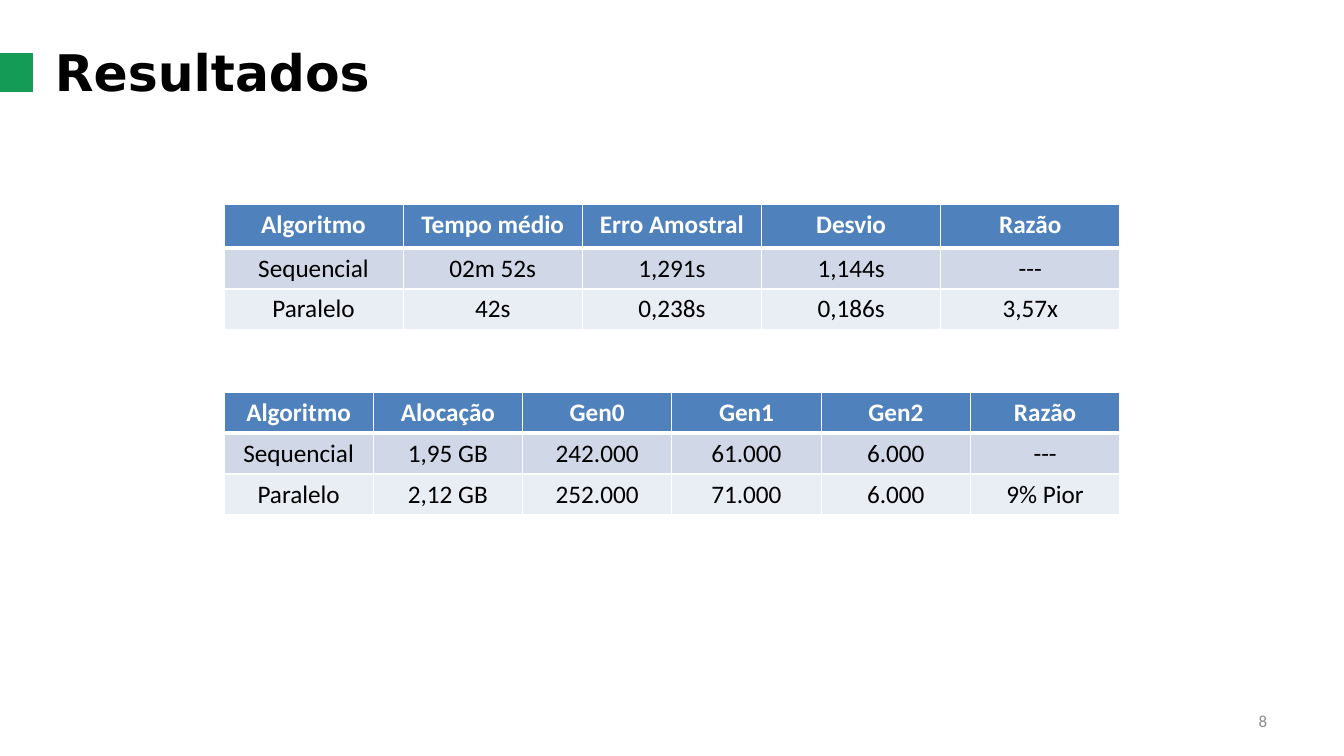
import pptx
import pptx.dml.color
import pptx.enum.shapes
import pptx.enum.text
import pptx.oxml
import pptx.oxml.ns
import pptx.util

PX = 12192000 / 1344  # EMU in one px
COLORS = {
    "black": "000000", "white": "FFFFFF", "green": "149B55", "gray": "8C8C8C",
    "header": "4F81BD", "band_dark": "D0D8E8", "band_light": "E9EDF4",
}
ALIGN = pptx.enum.text.PP_ALIGN
ANCHOR = pptx.enum.text.MSO_ANCHOR

TIMES = [
    ["Algoritmo", "Tempo médio", "Erro Amostral", "Desvio", "Razão"],
    ["Sequencial", "02m 52s", "1,291s", "1,144s", "---"],
    ["Paralelo", "42s", "0,238s", "0,186s", "3,57x"],
]
MEMORY = [
    ["Algoritmo", "Alocação", "Gen0", "Gen1", "Gen2", "Razão"],
    ["Sequencial", "1,95 GB", "242.000", "61.000", "6.000", "---"],
    ["Paralelo", "2,12 GB", "252.000", "71.000", "6.000", "9% Pior"],
]


def emu(px):
    return pptx.util.Emu(round(px * PX))


def rgb(name):
    return pptx.dml.color.RGBColor.from_string(COLORS[name])


def write(frame, text, size=18, font="Calibri", color="black", bold=False,
          align=ALIGN.LEFT):
    para = frame.paragraphs[0]
    para.alignment = align
    span = para.add_run()
    span.text = text
    span.font.size = pptx.util.Pt(size)
    span.font.name = font
    span.font.bold = bold
    span.font.color.rgb = rgb(color)


def add_text(page, left, top, width, height, text, anchor=ANCHOR.TOP, **style):
    box = page.shapes.add_textbox(*map(emu, (left, top, width, height)))
    box.text_frame.word_wrap = True
    box.text_frame.vertical_anchor = anchor
    write(box.text_frame, text, **style)


def add_heading(page, left, top, width, height):
    # Green marker at the page edge, then the title
    marker = page.shapes.add_shape(pptx.enum.shapes.MSO_SHAPE.RECTANGLE,
                                   *map(emu, (left, top + 17, 35, 39)))
    marker.shadow.inherit = False
    marker.fill.solid()
    marker.fill.fore_color.rgb = rgb("green")
    marker.line.fill.background()
    add_text(page, left + 47, top, width - 47, height, "Resultados",
             size=36, font="DejaVu Sans", bold=True)


def set_borders(cell, bottom):
    properties = cell._tc.get_or_add_tcPr()
    for side, points in (("L", 1), ("R", 1), ("T", 1), ("B", bottom)):
        properties.append(pptx.oxml.parse_xml(
            f'<a:ln{side} {pptx.oxml.ns.nsdecls("a")} w="{points * 12700}">'
            f'<a:solidFill><a:srgbClr val="{COLORS["white"]}"/></a:solidFill>'
            f'</a:ln{side}>'))


def add_results(page, left, top, width, row_heights, rows):
    table = page.shapes.add_table(len(rows), len(rows[0]), emu(left), emu(top),
                                  emu(width), emu(sum(row_heights))).table
    table.horz_banding = False
    for column in table.columns:
        column.width = emu(width / len(rows[0]))
    for r, (row, height) in enumerate(zip(rows, row_heights)):
        table.rows[r].height = emu(height)
        head = r == 0
        fill = "header" if head else "band_dark" if r % 2 else "band_light"
        for c, text in enumerate(row):
            cell = table.cell(r, c)
            set_borders(cell, bottom=3 if head else 1)
            cell.fill.solid()
            cell.fill.fore_color.rgb = rgb(fill)
            write(cell.text_frame, text, color="white" if head else "black",
                  bold=head, align=ALIGN.CENTER)


def main():
    deck = pptx.Presentation()
    deck.slide_width, deck.slide_height = emu(1344), emu(756)
    page = deck.slides.add_slide(deck.slide_layouts[6])
    add_heading(page, -2, 36, 730, 72)
    # Page number
    add_text(page, 964, 701, 313, 40, "8", anchor=ANCHOR.MIDDLE, size=12,
             color="gray", align=ALIGN.RIGHT)
    # Time and memory results
    add_results(page, 224, 204, 896, (44, 41, 41), TIMES)
    add_results(page, 224, 392, 896, (41, 41, 41), MEMORY)
    deck.save("out.pptx")


if __name__ == "__main__":
    main()
